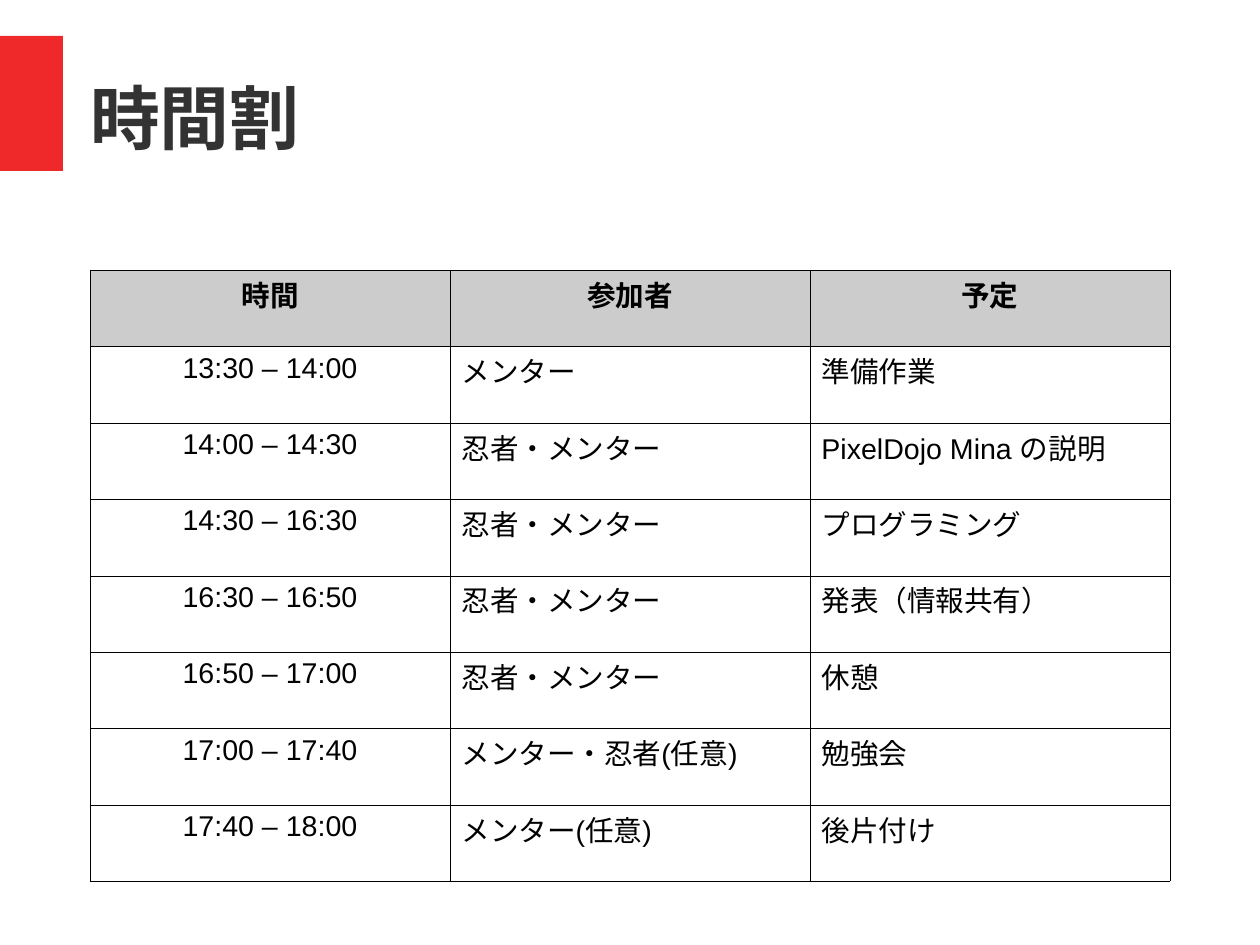
from dataclasses import dataclass

from lxml.etree import SubElement
from pptx import Presentation
from pptx.dml.color import RGBColor
from pptx.enum.lang import MSO_LANGUAGE_ID
from pptx.enum.shapes import MSO_SHAPE
from pptx.enum.text import MSO_ANCHOR, MSO_AUTO_SIZE, PP_ALIGN
from pptx.oxml.ns import qn
from pptx.util import Cm, Pt


@dataclass(frozen=True)
class Theme:
    accent: str = "EF2929"
    title: str = "333333"
    text: str = "000000"
    head: str = "CCCCCC"
    body: str = "FFFFFF"
    line: str = "000000"
    title_font: str = "Open Sans"
    text_font: str = "Arial"
    asian_font: str = "Open Sans"
    title_size: float = 44
    text_size: float = 18
    line_width: float = 0.06


THEME = Theme()
WIDTH, HEIGHT = Cm(28), Cm(21)

# Boxes are left, top, width, height as shares of the slide
BAR = (0, 0.038, 0.05, 1 / 7)
TITLE = (1 / 14, 0.04, 0.88, 1 / 6)
TABLE = (1 / 14, 2 / 7, 12 / 14, 11 / 17)

HEADS = ("時間", "参加者", "予定")
PLAN = (
    ("13:30 – 14:00", "メンター", "準備作業"),
    ("14:00 – 14:30", "忍者・メンター", "PixelDojo Mina の説明"),
    ("14:30 – 16:30", "忍者・メンター", "プログラミング"),
    ("16:30 – 16:50", "忍者・メンター", "発表（情報共有）"),
    ("16:50 – 17:00", "忍者・メンター", "休憩"),
    ("17:00 – 17:40", "メンター・忍者(任意)", "勉強会"),
    ("17:40 – 18:00", "メンター(任意)", "後片付け"),
)


def place(box):
    left, top, width, height = box
    return (round(left * WIDTH), round(top * HEIGHT),
            round(width * WIDTH), round(height * HEIGHT))


def paint(fill, color):
    fill.solid()
    fill.fore_color.rgb = RGBColor.from_string(color)


def write(frame, text, font, size, color, bold, align):
    para = frame.paragraphs[0]
    para.alignment = align
    run = para.add_run()
    run.text = text
    run.font.name = font
    run.font.size = Pt(size)
    run.font.bold = bold
    run.font.color.rgb = RGBColor.from_string(color)
    run.font.language_id = MSO_LANGUAGE_ID.JAPANESE
    props = run._r.get_or_add_rPr()
    SubElement(props, qn("a:ea"), typeface=THEME.asian_font)


def add_bar(slide, box):
    bar = slide.shapes.add_shape(MSO_SHAPE.RECTANGLE, *place(box))
    bar.shadow.inherit = False
    paint(bar.fill, THEME.accent)
    bar.line.fill.background()


def add_title(slide, box, text):
    title = slide.shapes.title
    title.left, title.top, title.width, title.height = place(box)
    frame = title.text_frame
    frame.margin_left = frame.margin_right = 0
    frame.margin_top = frame.margin_bottom = 0
    frame.vertical_anchor = MSO_ANCHOR.MIDDLE
    frame.auto_size = MSO_AUTO_SIZE.NONE
    frame.word_wrap = True
    write(frame, text, THEME.title_font, THEME.title_size, THEME.title,
          True, PP_ALIGN.LEFT)


def add_edges(cell):
    """Rule all four sides; edges must come before the cell's fill."""
    props = cell._tc.get_or_add_tcPr()
    for side in ("a:lnL", "a:lnR", "a:lnT", "a:lnB"):
        edge = SubElement(props, qn(side), w=str(Pt(THEME.line_width)))
        fill = SubElement(edge, qn("a:solidFill"))
        SubElement(fill, qn("a:srgbClr"), val=THEME.line)


def add_plan(slide, box, rows):
    left, top, width, height = place(box)
    count = len(rows[0])
    table = slide.shapes.add_table(
        len(rows), count, left, top, width, height).table
    for col in table.columns:
        col.width = width // count
    for r, row in enumerate(rows):
        table.rows[r].height = height // len(rows)
        for c, text in enumerate(row):
            cell = table.cell(r, c)
            head = r == 0
            add_edges(cell)
            paint(cell.fill, THEME.head if head else THEME.body)
            align = PP_ALIGN.CENTER if head or c == 0 else PP_ALIGN.LEFT
            write(cell.text_frame, text, THEME.text_font, THEME.text_size,
                  THEME.text, head, align)


def main():
    deck = Presentation()
    deck.slide_width, deck.slide_height = WIDTH, HEIGHT
    slide = deck.slides.add_slide(deck.slide_layouts[5])
    add_bar(slide, BAR)
    add_title(slide, TITLE, "時間割")
    add_plan(slide, TABLE, (HEADS, *PLAN))
    deck.save("out.pptx")


if __name__ == "__main__":
    main()
